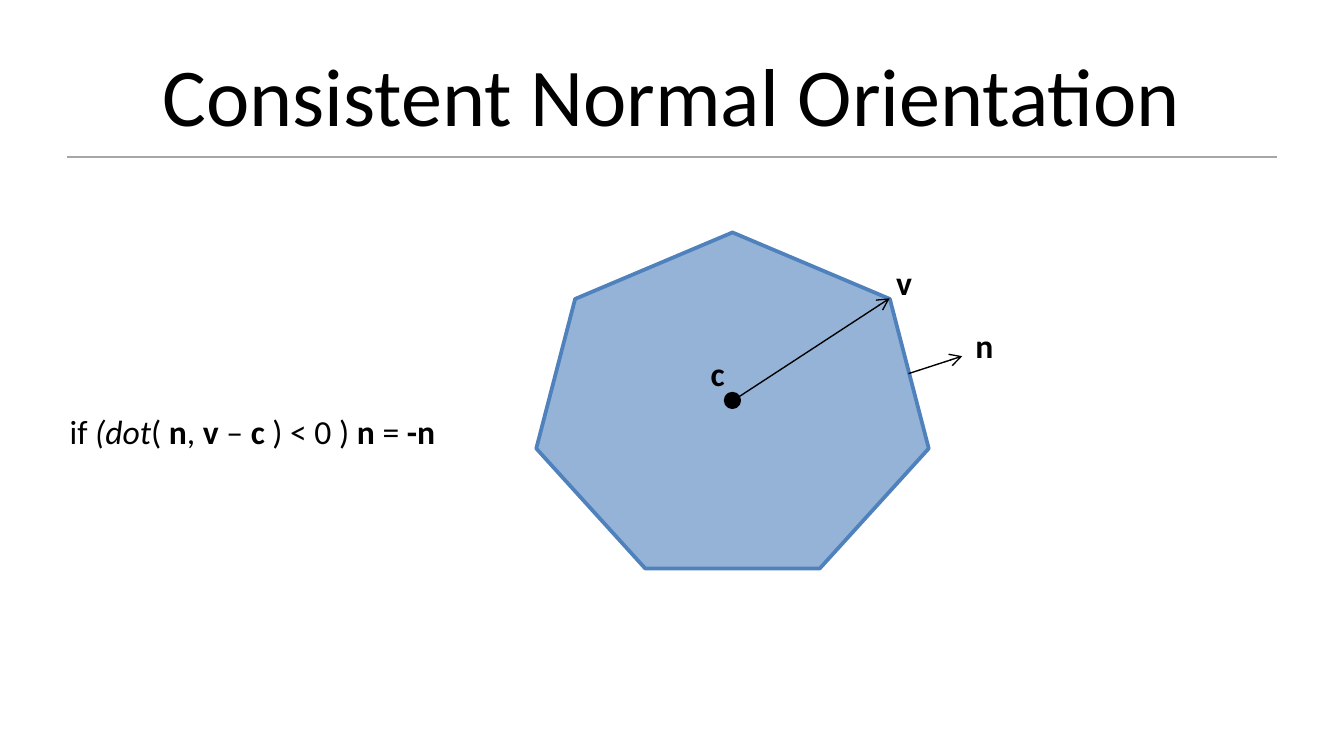
from dataclasses import dataclass

from lxml import etree
from pptx import Presentation
from pptx import util as u
from pptx.dml.color import RGBColor
from pptx.enum import shapes, text
from pptx.oxml.ns import qn

COLUMNS = 20  # square grid cells across the slide
WIDTH = u.Inches(10)
HEIGHT = WIDTH * 9 // 16


@dataclass(frozen=True)
class Theme:
    font: str = "Calibri"
    ink: str = "000000"
    polygon: str = "95B3D7"
    edge: str = "4F81BD"
    divider: str = "A6A6A6"
    title_size: float = 44
    body_size: float = 18
    outline: float = 2
    divider_width: float = 1
    arrow_width: float = 0.75


THEME = Theme()


def grid(*cells):
    """Turn grid columns or rows into slide lengths."""
    return [u.Emu(round(cell * WIDTH / COLUMNS)) for cell in cells]


def set_line(line, color, width):
    line.color.rgb = RGBColor.from_string(color)
    line.width = u.Pt(width)


def add_figure(page, kind, area, fill, edge):
    figure = page.shapes.add_shape(kind, *grid(*area))
    figure.shadow.inherit = False
    figure.fill.solid()
    figure.fill.fore_color.rgb = RGBColor.from_string(fill)
    set_line(figure.line, edge, THEME.outline)


def add_line(page, start, end, color, width, arrow=False):
    line = page.shapes.add_connector(
        shapes.MSO_CONNECTOR.STRAIGHT, *grid(*start, *end))
    set_line(line.line, color, width)
    properties = line._element.spPr
    if arrow:
        etree.SubElement(properties.find(qn("a:ln")), qn("a:tailEnd"), type="arrow")
    etree.SubElement(properties, qn("a:effectLst"))


def add_text(page, area, spans, size=THEME.body_size, wrap=True,
             align=text.PP_ALIGN.LEFT, anchor=text.MSO_ANCHOR.TOP):
    """Add one paragraph made of (wording, style) spans; style is '', 'bold' or 'italic'."""
    frame = page.shapes.add_textbox(*grid(*area)).text_frame
    frame.word_wrap = wrap
    frame.vertical_anchor = anchor
    para = frame.paragraphs[0]
    para.alignment = align
    for wording, style in spans:
        span = para.add_run()
        span.text = wording
        span.font.color.rgb = RGBColor.from_string(THEME.ink)
        formats = {"name": THEME.font, "size": u.Pt(size),
                   "bold": style == "bold", "italic": style == "italic"}
        for name, value in formats.items():
            setattr(span.font, name, value)


def add_heading(page, wording):
    add_text(page, (1, 0.46, 18, 1.88), [(wording, "")], THEME.title_size,
             align=text.PP_ALIGN.CENTER, anchor=text.MSO_ANCHOR.MIDDLE)
    add_line(page, (1, 2.34), (19, 2.34), THEME.divider, THEME.divider_width)


def add_diagram(page):
    kinds = shapes.MSO_SHAPE
    add_figure(page, kinds.HEPTAGON, (7.98, 3.46, 5.84, 5), THEME.polygon, THEME.edge)
    add_figure(page, kinds.OVAL, (10.8, 5.86, 0.2, 0.2), THEME.ink, THEME.ink)

    arrows = [((10.82, 6.02), (13.24, 4.44)),
              ((13.52, 5.56), (14.32, 5.3))]
    for start, end in arrows:
        add_line(page, start, end, THEME.ink, THEME.arrow_width, arrow=True)

    labels = [("c", 10.38, 5.16), ("v", 13.14, 3.8), ("n", 14.32, 4.74)]
    for wording, left, top in labels:
        add_text(page, (left, top, 0.68, 0.8), [(wording, "bold")], wrap=False)


def add_formula(page):
    spans = [("if", ""), (" (dot", "italic"), ("( ", ""), ("n", "bold"),
             (", ", ""), ("v", "bold"), (" – ", ""), ("c", "bold"),
             (" ) < 0 ) ", ""), ("n", "bold"), (" = ", ""), ("-n", "bold")]
    add_text(page, (0.84, 6.02, 6.66, 0.8), spans)


def main():
    deck = Presentation()
    deck.slide_width, deck.slide_height = WIDTH, HEIGHT
    page = deck.slides.add_slide(deck.slide_layouts[6])
    add_heading(page, "Consistent Normal Orientation")
    add_diagram(page)
    add_formula(page)
    deck.save("out.pptx")


if __name__ == "__main__":
    main()
